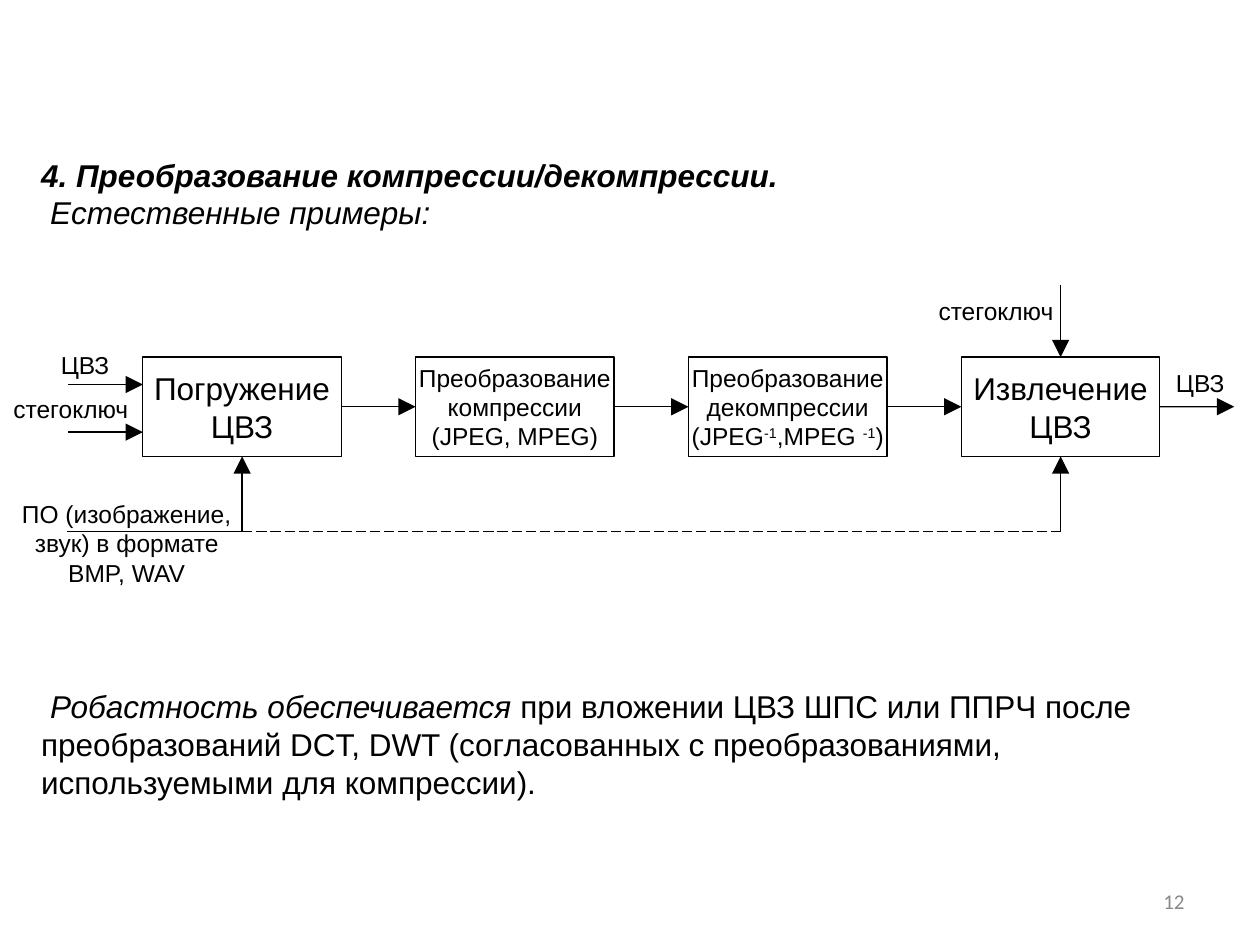
from dataclasses import dataclass

from lxml.etree import SubElement
from pptx import Presentation
from pptx.dml.color import RGBColor
from pptx.enum.dml import MSO_LINE
from pptx.enum.shapes import MSO_CONNECTOR, MSO_SHAPE
from pptx.enum.text import MSO_ANCHOR, PP_ALIGN
from pptx.oxml.ns import qn
from pptx.util import Cm, Pt


@dataclass(frozen=True)
class Theme:
    ink: RGBColor = RGBColor(0x00, 0x00, 0x00)
    muted: RGBColor = RGBColor(0x89, 0x89, 0x89)
    font: str = "Arial"
    number_font: str = "Calibri"
    body: int = 18
    small: int = 14
    number: int = 12
    line: float = 0.75


THEME = Theme()
TOP, LEFT, BOTTOM, RIGHT = range(4)

# A run is (text, flags): b bold, i italic, ^ superscript.
HEADING = [
    [("4. Преобразование компрессии/декомпрессии.", "bi")],
    [("Естественные примеры:", "i")],
]
CONCLUSION = [[
    ("Робастность обеспечивается", "i"),
    (" при вложении ЦВЗ ШПС или ППРЧ после преобразований DCT, DWT "
     "(согласованных с преобразованиями, используемыми для компрессии).", ""),
]]
STAGES = [
    ([[("Погружение ЦВЗ", "")]], THEME.body),
    ([[("Преобразование\nкомпрессии\n(JPEG, MPEG)", "")]], THEME.small),
    ([[("Преобразование\nдекомпрессии\n(JPEG", ""), ("-1", "^"),
       (",MPEG ", ""), ("-1", "^"), (")", "")]], THEME.small),
    ([[("Извлечение ЦВЗ", "")]], THEME.body),
]
# text, left, top, width, height in cm
LABELS = [
    ("ЦВЗ", 0.79, 6.88, 1.85, 0.94),
    ("ЦВЗ", 23.27, 7.24, 1.85, 0.94),
    ("стегоключ", 0.2, 7.77, 2.46, 0.94),
    ("стегоключ", 18.85, 5.79, 2.46, 0.94),
    ("ПО (изображение, звук) в формате BMP, WAV", 0.33, 9.88, 4.45, 2.13),
]

STAGE_X, STAGE_Y, STAGE_W, STAGE_H = 2.88, 7.2, 4, 2
GAP = 1.5
INPUT_Y = (7.75, 8.71)
BUS_X, BUS_Y = 1.35, 10.72
KEY_Y = 5.74


def write(sp, paragraphs, size=THEME.body, align=PP_ALIGN.CENTER, font=THEME.font,
          color=THEME.ink, margin=0.0, first_indent=()):
    """Fill a shape; first_indent gives the first-line indent of each paragraph in cm."""
    tf = sp.text_frame
    tf.word_wrap = True
    tf.vertical_anchor = MSO_ANCHOR.MIDDLE
    tf.margin_left = tf.margin_right = Cm(margin)
    tf.margin_top = tf.margin_bottom = Cm(margin / 2)
    for n, runs in enumerate(paragraphs):
        p = tf.add_paragraph() if n else tf.paragraphs[0]
        p.alignment = align
        if first_indent:
            p._p.get_or_add_pPr().set("indent", str(Cm(first_indent[n])))
        for text, flags in runs:
            for k, part in enumerate(text.split("\n")):
                if k:
                    p.add_line_break()
                r = p.add_run()
                r.text = part
                r.font.name, r.font.size = font, Pt(size)
                r.font.color.rgb = color
                r.font.bold, r.font.italic = "b" in flags, "i" in flags
                if "^" in flags:
                    r.font._element.set("baseline", "30000")


def add_text(s, box, paragraphs, **fmt):
    write(s.shapes.add_textbox(*map(Cm, box)), paragraphs, **fmt)


def add_stage(s, n, paragraphs, size):
    x = STAGE_X + n * (STAGE_W + GAP)
    sp = s.shapes.add_shape(MSO_SHAPE.RECTANGLE, Cm(x), Cm(STAGE_Y), Cm(STAGE_W), Cm(STAGE_H))
    sp.shadow.inherit = False
    sp.fill.background()
    sp.line.color.rgb = THEME.ink
    sp.line.width = Pt(THEME.line)
    write(sp, paragraphs, size=size)
    return sp


def add_line(s, start, end, source=None, target=None, arrow=True, dash=None):
    """Draw from start to end in cm; source and target are (shape, side) joins."""
    line = s.shapes.add_connector(MSO_CONNECTOR.STRAIGHT, *map(Cm, (*start, *end)))
    line.line.color.rgb = THEME.ink
    line.line.width = Pt(THEME.line)
    if dash:
        line.line.dash_style = dash
    if arrow:
        SubElement(line.line._get_or_add_ln(), qn("a:tailEnd"), type="triangle", w="lg", len="lg")
    SubElement(line._element.spPr, qn("a:effectLst"))
    if source:
        line.begin_connect(*source)
    if target:
        line.end_connect(*target)


def add_diagram(s):
    stages = [add_stage(s, n, *stage) for n, stage in enumerate(STAGES)]
    first, last = stages[0], stages[-1]
    mid_y = STAGE_Y + STAGE_H / 2
    bottom = STAGE_Y + STAGE_H
    first_x = STAGE_X + STAGE_W / 2
    last_x = first_x + (len(stages) - 1) * (STAGE_W + GAP)
    end_x = last_x + STAGE_W / 2

    for n, (a, b) in enumerate(zip(stages, stages[1:])):
        x = STAGE_X + STAGE_W + n * (STAGE_W + GAP)
        add_line(s, (x, mid_y), (x + GAP, mid_y), (a, RIGHT), (b, LEFT))
    add_line(s, (end_x, mid_y), (end_x + GAP, mid_y), source=(last, RIGHT))
    for y in INPUT_Y:
        add_line(s, (STAGE_X - GAP, y), (STAGE_X, y))
    add_line(s, (last_x, KEY_Y), (last_x, STAGE_Y), target=(last, TOP))

    add_line(s, (BUS_X, BUS_Y), (first_x, BUS_Y), arrow=False)
    add_line(s, (first_x, BUS_Y), (last_x, BUS_Y), arrow=False, dash=MSO_LINE.LONG_DASH)
    for x, sp in ((first_x, first), (last_x, last)):
        add_line(s, (x, BUS_Y), (x, bottom), target=(sp, BOTTOM))

    for text, *box in LABELS:
        add_text(s, box, [[(text, "")]], size=THEME.small)


def main():
    prs = Presentation()
    prs.slide_width, prs.slide_height = Cm(25.4), Cm(19.05)
    s = prs.slides.add_slide(prs.slide_layouts[6])
    add_text(s, (0.58, 3, 24.2, 1.8), HEADING, align=PP_ALIGN.LEFT,
             margin=0.25, first_indent=(0, 0.18))
    add_diagram(s)
    add_text(s, (0.58, 13.6, 24.2, 2.8), CONCLUSION, align=PP_ALIGN.LEFT,
             margin=0.25, first_indent=(0.18,))
    add_text(s, (18.2, 17.66, 5.93, 1.01), [[("12", "")]], size=THEME.number,
             align=PP_ALIGN.RIGHT, font=THEME.number_font, color=THEME.muted, margin=0.25)
    prs.save("out.pptx")


if __name__ == "__main__":
    main()
